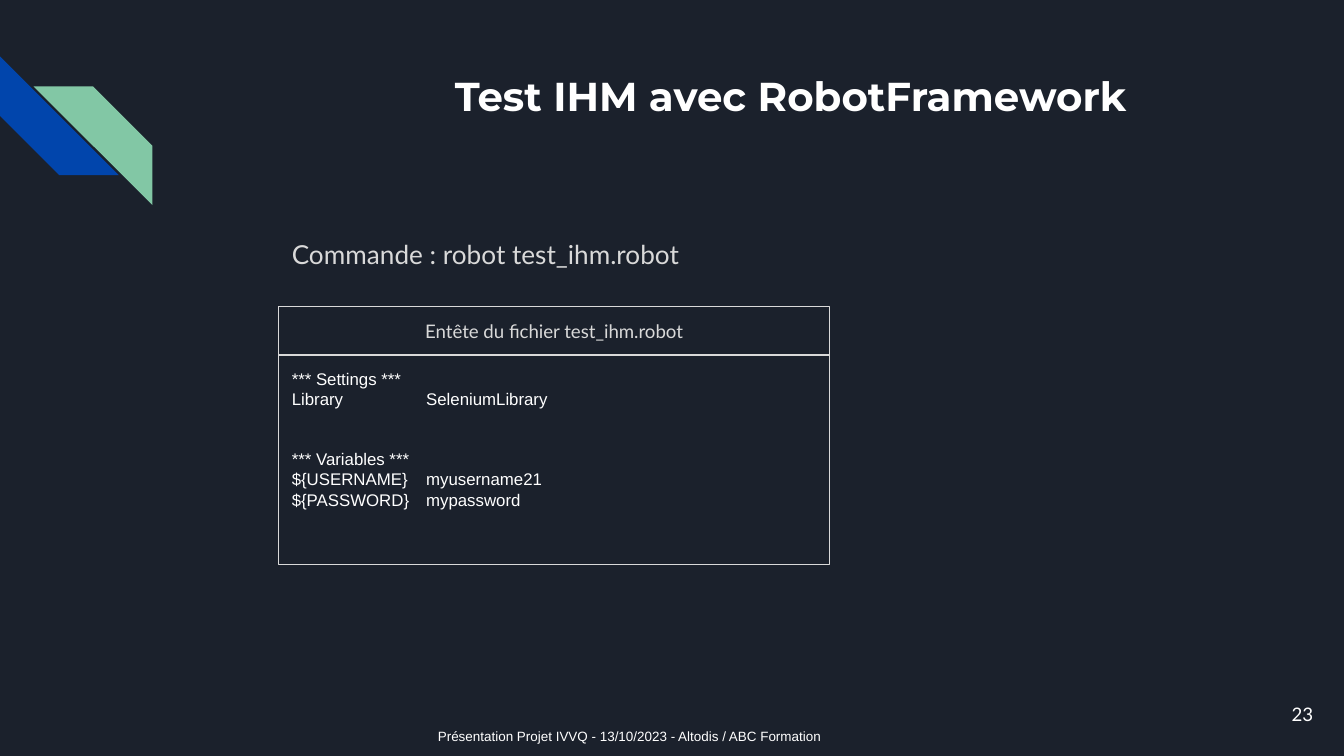
from lxml import etree
from pptx import Presentation
from pptx import util as u
from pptx.dml.color import RGBColor
from pptx.enum import shapes, text
from pptx.oxml.ns import qn

# Grid: 100 columns of square cells on a 16:9 slide
WIDTH = u.Inches(10)
HEIGHT = u.Emu(WIDTH * 9 // 16)
CELL = WIDTH / 100
COLORS = {"background": "1B212C", "blue": "0145AC", "green": "82C7A5",
          "white": "FFFFFF", "grey": "D9D9D9"}
LEFT, PANEL_WIDTH = 20.73, 41
ALIGN = text.PP_ALIGN


def cells(*counts):
    return [u.Emu(round(count * CELL)) for count in counts]


def color(name):
    return RGBColor.from_string(COLORS[name])


def write(shape, lines, font, size, ink="white", align=ALIGN.LEFT, bold=False,
          anchor=text.MSO_ANCHOR.TOP, indent=1):
    """Fill a shape with one paragraph per line and return the paragraphs."""
    frame = shape.text_frame
    frame.word_wrap = True
    frame.vertical_anchor = anchor
    frame.margin_left, frame.margin_right = cells(indent, 1)
    frame.margin_top, frame.margin_bottom = cells(1, 1)
    frame.text = "\n".join(lines)
    for paragraph in frame.paragraphs:
        paragraph.alignment = align
        paragraph.font.name = font
        paragraph.font.size = u.Pt(size)
        paragraph.font.bold = bold
        paragraph.font.color.rgb = color(ink)
    return frame.paragraphs


def add_tab_stop(paragraph, column):
    properties = paragraph._p.get_or_add_pPr()
    tabs = etree.Element(qn("a:tabLst"))
    etree.SubElement(tabs, qn("a:tab"), pos=str(cells(column)[0]), algn="l")
    properties.find(qn("a:defRPr")).addprevious(tabs)


def add_label(slide, place, label, font, size, **style):
    box = slide.shapes.add_textbox(*cells(*place))
    write(box, [label], font, size, **style)


def add_plain_shape(slide, kind, place, fill=None, line=None):
    shape = slide.shapes.add_shape(kind, *cells(*place))
    shape.shadow.inherit = False
    if fill:
        shape.fill.solid()
        shape.fill.fore_color.rgb = color(fill)
    else:
        shape.fill.background()
    if line:
        shape.line.color.rgb = color(line)
        shape.line.width = u.Pt(0.75)
    else:
        shape.line.fill.background()
    return shape


def add_stripe(slide, left, top, fill):
    stripe = add_plain_shape(slide, shapes.MSO_SHAPE.DIAGONAL_STRIPE,
                             (left, top, 8.84, 8.84), fill)
    stripe.adjustments[0] = 0.5
    return stripe


def add_panel(slide, top, height, fill=None):
    return add_plain_shape(slide, shapes.MSO_SHAPE.RECTANGLE,
                           (LEFT, top, PANEL_WIDTH, height), fill, "grey")


def main():
    presentation = Presentation()
    presentation.slide_width, presentation.slide_height = WIDTH, HEIGHT
    slide = presentation.slides.add_slide(presentation.slide_layouts[6])
    slide.background.fill.solid()
    slide.background.fill.fore_color.rgb = color("background")

    # Corner decoration
    add_stripe(slide, 0, 4.2, "blue").rotation = 270
    green_stripe = add_stripe(slide, 2.5, 6.42, "green")
    green_stripe._element.spPr.xfrm.set("flipH", "1")

    # Title, page number and footer
    add_label(slide, (14.2, 4.3, 77, 10), "Test IHM avec RobotFramework",
              "Montserrat", 21.6, bold=True, indent=19.65)
    add_label(slide, (92.7, 51, 6, 4.3), "23", "Lato", 10,
              align=ALIGN.RIGHT, anchor=text.MSO_ANCHOR.MIDDLE)
    add_label(slide, (31.6, 53.6, 32, 3),
              "Présentation Projet IVVQ - 13/10/2023 - Altodis / ABC Formation",
              "Arial", 7.2)

    # File content
    code = add_panel(slide, 26.4, 15.6, "background")
    lines = write(code, ["*** Settings ***", "Library\tSeleniumLibrary",
                         "*** Variables ***", "${USERNAME}\tmyusername21",
                         "${PASSWORD}\tmypassword"], "Arial", 9)
    for paragraph in lines:
        add_tab_stop(paragraph, 10)
    lines[2].space_before = u.Pt(21.6)

    # Command and file heading
    add_label(slide, (LEFT, 16.75, PANEL_WIDTH, 4.4),
              "Commande : robot test_ihm.robot", "Lato", 14, ink="grey")
    write(add_panel(slide, 22.8, 3.65), ["Entête du fichier test_ihm.robot"],
          "Lato", 10, ink="grey", align=ALIGN.CENTER)

    presentation.save("out.pptx")


if __name__ == "__main__":
    main()
